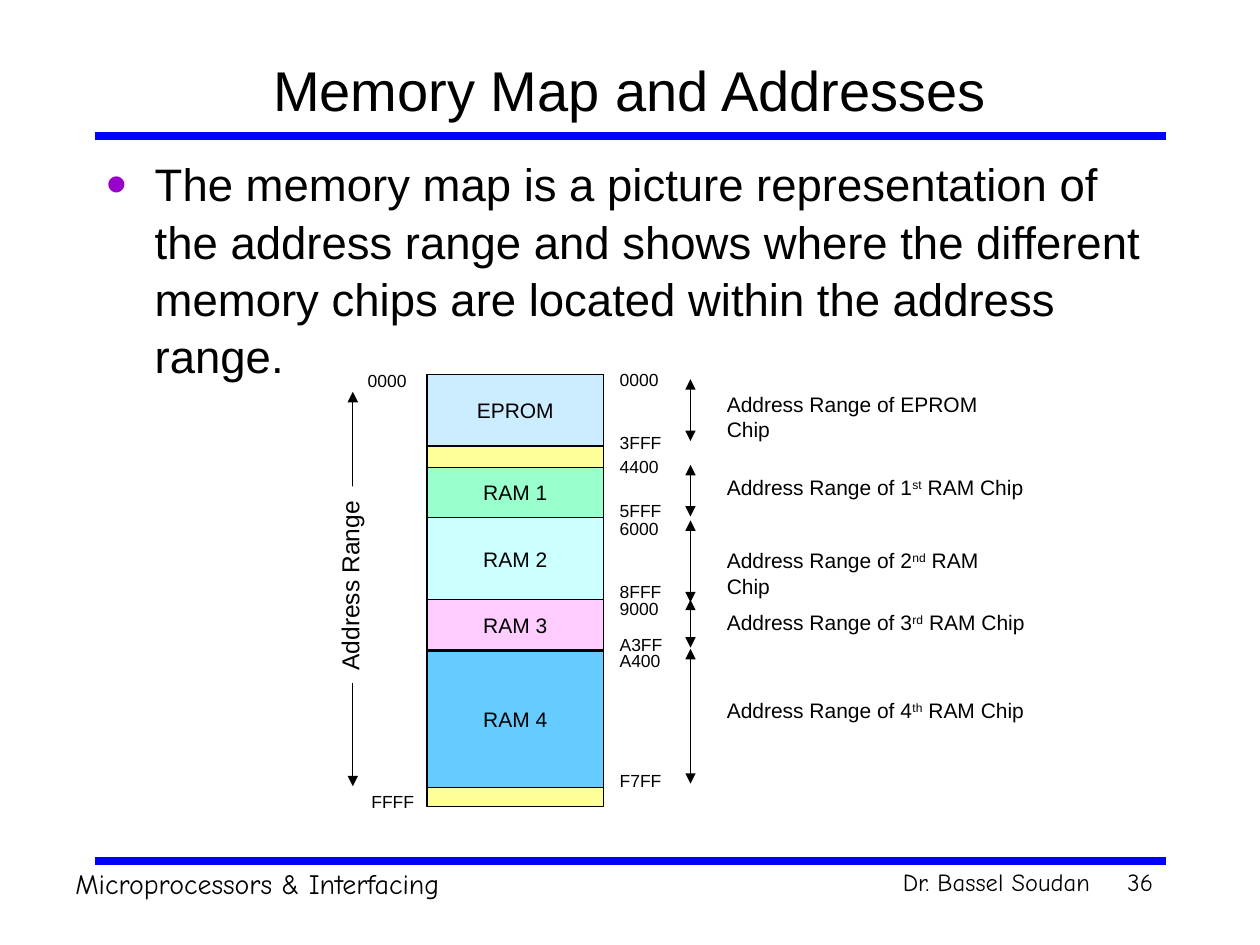
"""Builds the memory map slide: chips, their addresses and their ranges."""
from lxml import etree
from pptx import Presentation
from pptx import util as u
from pptx.dml.color import RGBColor
from pptx.enum import shapes, text
from pptx.oxml.ns import qn

TITLE = "Memory Map and Addresses"
BODY = ("The memory map is a picture representation of the address range and shows "
        "where the different memory chips are located within the address range.")
FOOTERS = [
    ("Microprocessors & Interfacing", (0.5, 6.83, 5.67, 0.37), 16, "left"),
    ("Dr. Bassel Soudan", (6.33, 6.83, 2.42, 0.34), 14, "right"),
    ("36", (8.83, 6.83, 0.42, 0.5), 14, "right"),
]
RULE_TOPS = [1.08, 6.83]
CHIPS = [
    {"name": "EPROM", "fill": "CCECFF", "top": 2.97, "height": 0.57,
     "addresses": [("0000", 2.88), ("3FFF", 3.38)], "arrow": (3.01, 3.5),
     "caption": ["Address Range of EPROM Chip"], "caption_top": 3.06},
    {"name": "RAM 1", "fill": "99FFCC", "top": 3.71, "height": 0.4,
     "addresses": [("4400", 3.57), ("5FFF", 3.92)], "arrow": (3.69, 4.1),
     "caption": ["Address Range of 1", "st", " RAM Chip"], "caption_top": 3.72},
    {"name": "RAM 2", "fill": "CCFFFF", "top": 4.11, "height": 0.65,
     "addresses": [("6000", 4.06), ("8FFF", 4.56)], "arrow": (4.13, 4.78),
     "caption": ["Address Range of 2", "nd", " RAM Chip"], "caption_top": 4.3},
    {"name": "RAM 3", "fill": "FFCCFF", "top": 4.76, "height": 0.4,
     "addresses": [("9000", 4.7), ("A3FF", 4.98)], "arrow": (4.76, 5.14),
     "caption": ["Address Range of 3", "rd", " RAM Chip"], "caption_top": 4.79},
    {"name": "RAM 4", "fill": "66CCFF", "top": 5.17, "height": 1.08,
     "addresses": [("A400", 5.11), ("F7FF", 6.06)], "arrow": (5.15, 6.22),
     "caption": ["Address Range of 4", "th", " RAM Chip"], "caption_top": 5.49},
]
MAP_ENDS = [("0000", 2.82, 2.89), ("FFFF", 2.85, 6.23)]
MAP_LEFT, MAP_TOP, MAP_WIDTH, MAP_HEIGHT = 3.39, 2.97, 1.4, 3.43
ADDRESS_LEFT, ARROW_LEFT, CAPTION_LEFT = 4.82, 5.48, 5.67
ALIGN = {"left": text.PP_ALIGN.LEFT, "center": text.PP_ALIGN.CENTER,
         "right": text.PP_ALIGN.RIGHT}


def color(value):
    return RGBColor.from_string(value)


def write(box, spans, size, align="left", font="Arial", middle=False, wrap=True):
    frame = box.text_frame
    frame.word_wrap = wrap
    frame.vertical_anchor = text.MSO_ANCHOR.MIDDLE if middle else text.MSO_ANCHOR.TOP
    para = frame.paragraphs[0]
    para.alignment = ALIGN[align]
    for index, words in enumerate(spans):
        span = para.add_run()
        span.text = words
        span.font.size = u.Pt(size)
        span.font.name = font
        span.font.color.rgb = color("000000")
        if index == 1:
            span.font._element.set("baseline", "30000")
    return para


def add_text(page, place, spans, size, **style):
    box = page.shapes.add_textbox(*map(u.Inches, place))
    return write(box, spans, size, **style)


def add_rect(page, place, fill, outlined=True):
    rect = page.shapes.add_shape(shapes.MSO_SHAPE.RECTANGLE, *map(u.Inches, place))
    rect.shadow.inherit = False
    rect.fill.solid()
    rect.fill.fore_color.rgb = color(fill)
    if outlined:
        rect.line.color.rgb = color("000000")
        rect.line.width = u.Pt(0.75)
    else:
        rect.line.fill.background()
    return rect


def add_line(page, start, end, stroke="000000", width=0.75, arrows=True):
    line = page.shapes.add_connector(shapes.MSO_CONNECTOR.STRAIGHT,
                                     *map(u.Inches, start + end))
    line.line.color.rgb = color(stroke)
    line.line.width = u.Pt(width)
    if arrows:
        outline = line.line._get_or_add_ln()
        for tag in ("a:headEnd", "a:tailEnd"):
            etree.SubElement(outline, qn(tag), type="triangle")
    etree.SubElement(line._element.spPr, qn("a:effectLst"))


def add_bullet(para, indent, fill, percent):
    props = para._p.get_or_add_pPr()
    props.set("marL", str(u.Inches(indent)))
    props.set("indent", str(-u.Inches(indent)))
    tint = etree.SubElement(props, qn("a:buClr"))
    etree.SubElement(tint, qn("a:srgbClr"), val=fill)
    etree.SubElement(props, qn("a:buSzPct"), val=str(percent * 1000))
    etree.SubElement(props, qn("a:buFont"), typeface="Arial")
    etree.SubElement(props, qn("a:buChar"), char="•")


def add_frame(page):
    for top in RULE_TOPS:
        add_line(page, (0.75, top), (9.25, top), "0000FF", 4.5, arrows=False)
    for words, place, size, align in FOOTERS:
        add_text(page, place, [words], size, align=align, font="Comic Neue")
    add_text(page, (0.75, 0.33, 8.5, 0.75), [TITLE], 32, align="center", middle=True)
    para = add_text(page, (0.75, 1.17, 8.5, 5.58), [BODY], 26)
    para.space_before = u.Pt(6.5)
    para.line_spacing = 1.05
    add_bullet(para, 0.38, "9900CC", 130)


def add_map(page):
    add_rect(page, (MAP_LEFT, MAP_TOP, MAP_WIDTH, MAP_HEIGHT), "FFFF99")
    for address, left, top in MAP_ENDS:
        add_text(page, (left, top, 0.56, 0.27), [address], 10)
    add_line(page, (2.8, 3.11), (2.8, 6.24))
    label = add_rect(page, (2, 4.47, 1.56, 0.34), "FFFFFF", outlined=False)
    label.rotation = 270
    write(label, ["Address Range"], 14)


def add_chip(page, chip):
    rect = add_rect(page, (MAP_LEFT, chip["top"], MAP_WIDTH, chip["height"]), chip["fill"])
    write(rect, [chip["name"]], 12, align="center", middle=True, wrap=False)
    for address, top in chip["addresses"]:
        add_text(page, (ADDRESS_LEFT, top, 0.56, 0.27), [address], 10)
    start, end = chip["arrow"]
    add_line(page, (ARROW_LEFT, start), (ARROW_LEFT, end))
    add_text(page, (CAPTION_LEFT, chip["caption_top"], 2.57, 0.3), chip["caption"], 12,
             wrap=False)


def main():
    deck = Presentation()
    deck.slide_width, deck.slide_height = u.Inches(10), u.Inches(7.5)
    page = deck.slides.add_slide(deck.slide_layouts[6])
    add_frame(page)
    add_map(page)
    for chip in CHIPS:
        add_chip(page, chip)
    deck.save("out.pptx")


if __name__ == "__main__":
    main()
